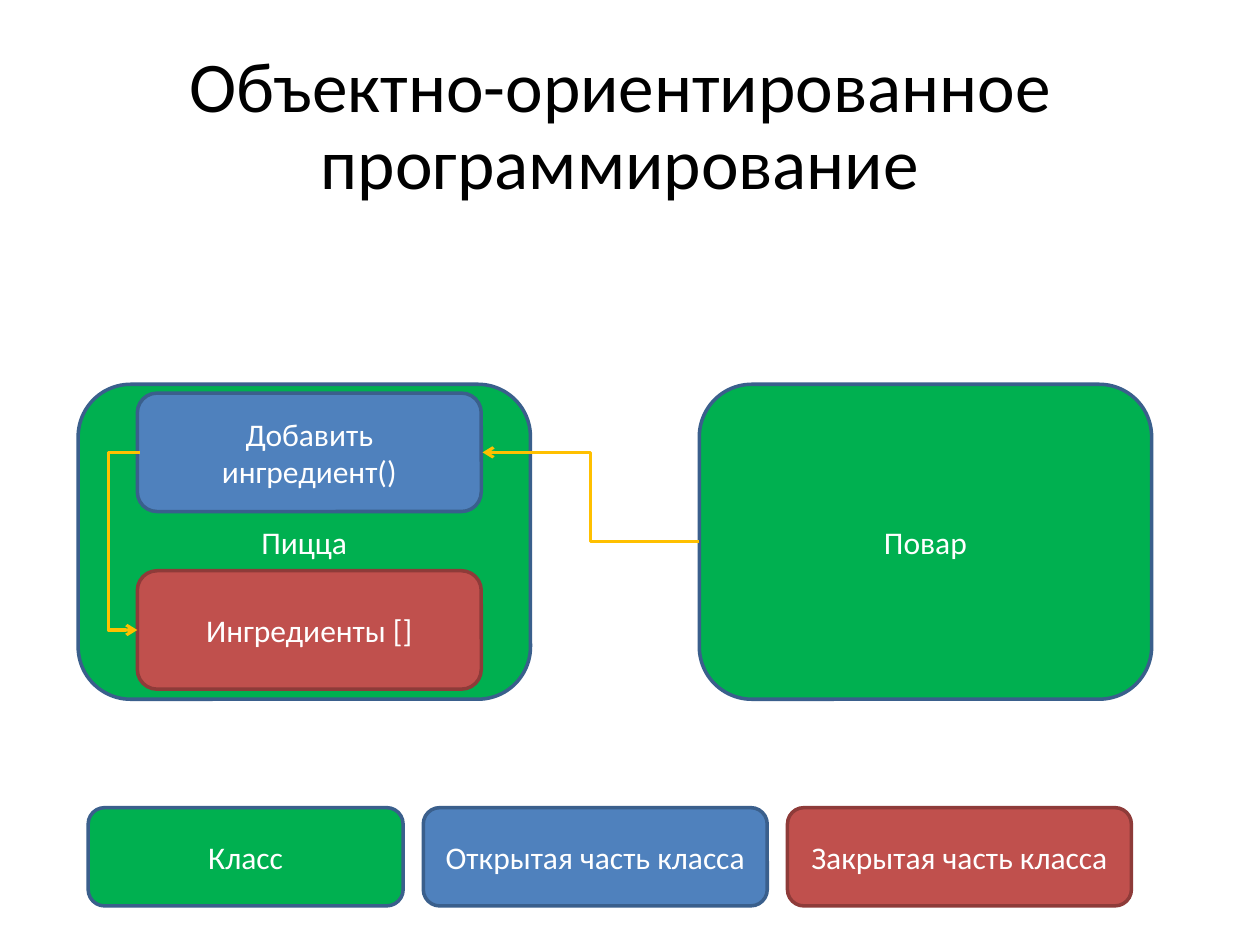
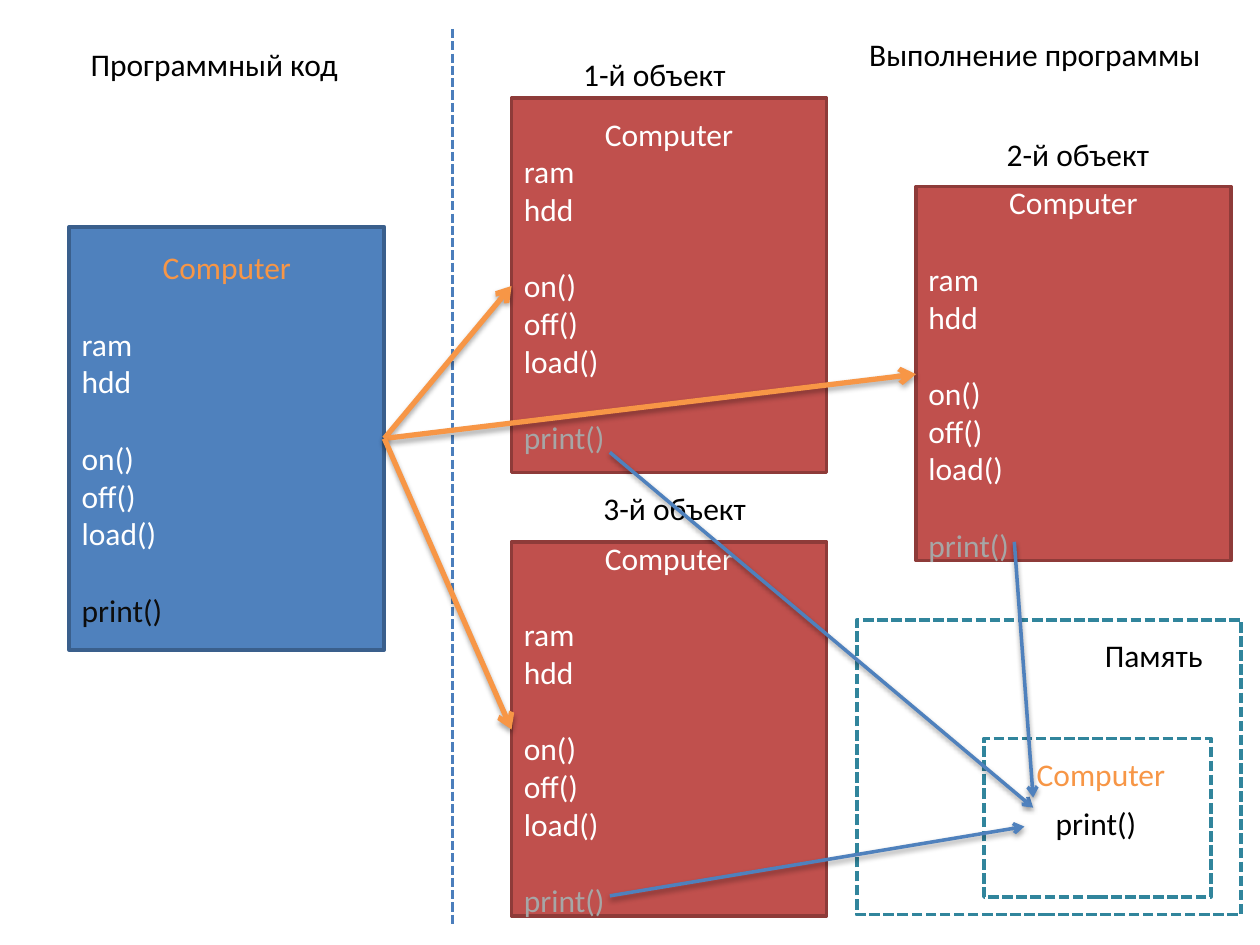
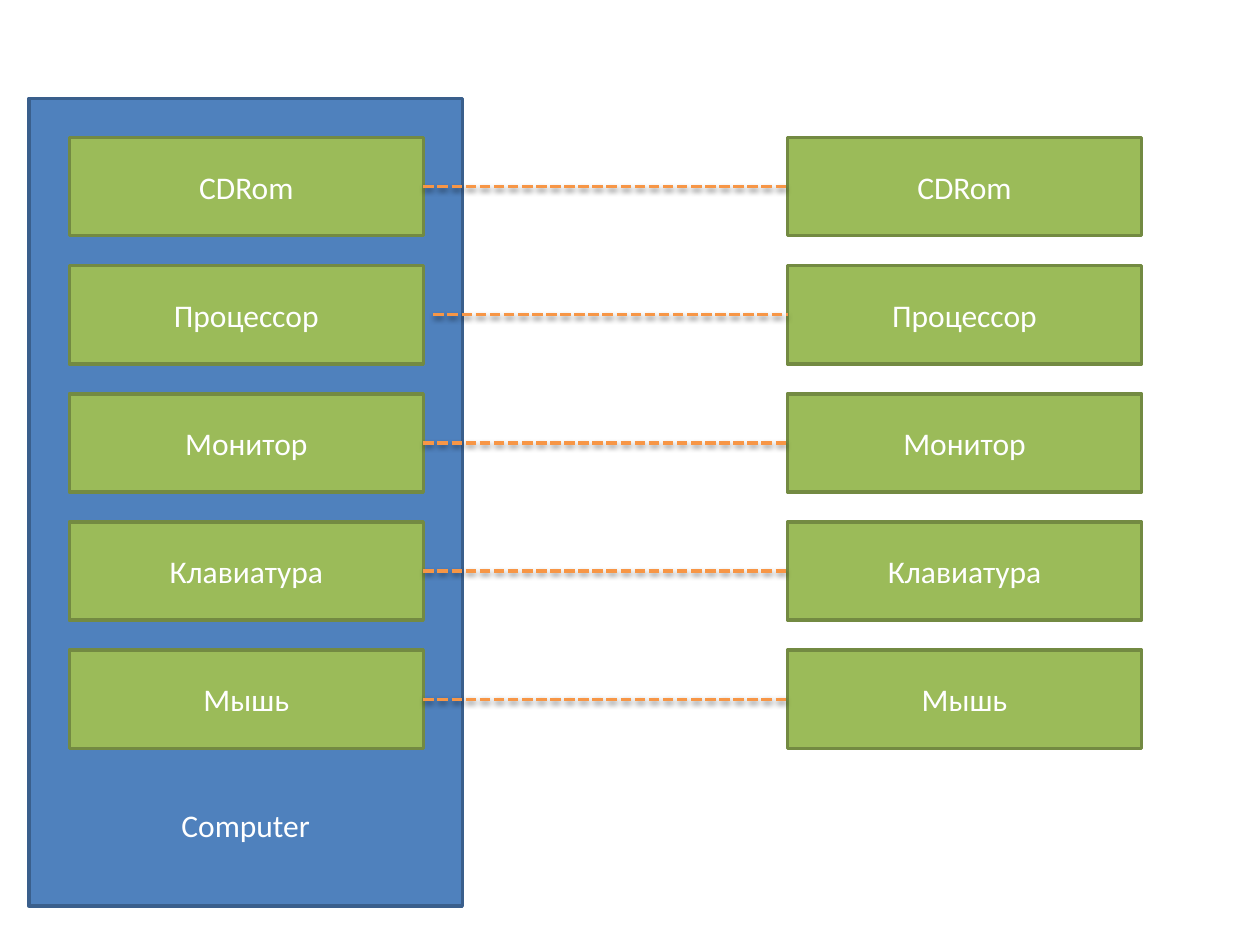
from lxml.etree import SubElement
from pptx import Presentation
from pptx.dml.color import RGBColor
from pptx.enum.dml import MSO_LINE
from pptx.enum.shapes import MSO_CONNECTOR as LINK, MSO_SHAPE as SHAPE
from pptx.enum.text import MSO_ANCHOR as ANCHOR, MSO_AUTO_SIZE as AUTO, PP_ALIGN as ALIGN
from pptx.oxml.ns import qn
from pptx.util import Inches, Pt

# Shared look
FONT = "Calibri"
TEXT_SIZE = 18
BLANK_LINE = Pt(22)
BLACK = RGBColor(0x00, 0x00, 0x00)
NEAR_BLACK = RGBColor(0x0D, 0x0D, 0x0D)
WHITE = RGBColor(0xFF, 0xFF, 0xFF)
GRAY = RGBColor(0xA6, 0xA6, 0xA6)
BLUE = RGBColor(0x4F, 0x81, 0xBD)
DARK_BLUE = RGBColor(0x3A, 0x5F, 0x8C)
DIVIDER_BLUE = RGBColor(0x4B, 0x7E, 0xBC)
RED = RGBColor(0xC0, 0x50, 0x4D)
DARK_RED = RGBColor(0x8E, 0x3B, 0x39)
GREEN = RGBColor(0x00, 0xB0, 0x50)
OLIVE = RGBColor(0x9B, 0xBB, 0x59)
DARK_OLIVE = RGBColor(0x73, 0x8A, 0x42)
ORANGE = RGBColor(0xF7, 0x96, 0x46)
AMBER = RGBColor(0xFF, 0xC0, 0x00)
TEAL = RGBColor(0x31, 0x85, 0x9C)

# Fill and outline of each kind of box
CLASS = (GREEN, DARK_BLUE)
PUBLIC = (BLUE, DARK_BLUE)
PRIVATE = (RED, DARK_RED)
DEVICE = (OLIVE, DARK_OLIVE)
MEMORY = (WHITE, TEAL)


def style_text(paragraph, color, size=TEXT_SIZE):
    for run in paragraph.runs:
        run.font.name = FONT
        run.font.size = Pt(size)
        run.font.color.rgb = color


def add_box(slide, at, colors, text="", shape=SHAPE.RECTANGLE, dashed=False):
    box = slide.shapes.add_shape(shape, *map(Inches, at))
    box.shadow.inherit = False
    box.fill.solid()
    box.fill.fore_color.rgb, box.line.color.rgb = colors
    box.line.width = Pt(2)
    if dashed:
        box.line.dash_style = MSO_LINE.SQUARE_DOT
    if text:
        frame = box.text_frame
        frame.text = text
        frame.vertical_anchor = ANCHOR.MIDDLE
        frame.paragraphs[0].alignment = ALIGN.CENTER
        style_text(frame.paragraphs[0], WHITE)
    return box


def add_rounded(slide, at, colors, text):
    return add_box(slide, at, colors, text, SHAPE.ROUNDED_RECTANGLE)


def add_computer(slide, at, colors, name_color, print_color, gap_after_name=True):
    """A class box: its name, then fields and methods in spaced groups."""
    frame = add_box(slide, at, colors, "Computer").text_frame
    style_text(frame.paragraphs[0], name_color)
    group_starts = {"on()", "print()"} | ({"ram"} if gap_after_name else set())
    for member in ("ram", "hdd", "on()", "off()", "load()", "print()"):
        paragraph = frame.add_paragraph()
        paragraph.text = member
        paragraph.alignment = ALIGN.LEFT
        if member in group_starts:
            paragraph.space_before = BLANK_LINE
        style_text(paragraph, print_color if member == "print()" else WHITE)


def add_label(slide, left, top, width, text, color=BLACK):
    label = slide.shapes.add_textbox(*map(Inches, (left, top, width, 0.4)))
    frame = label.text_frame
    frame.text = text
    frame.word_wrap = False
    frame.auto_size = AUTO.SHAPE_TO_FIT_TEXT
    style_text(frame.paragraphs[0], color)


def add_link(slide, start, end, color, width, kind=LINK.STRAIGHT,
             dashed=False, arrow=False, shadow=None):
    """A line; shadow is (offset in points, opacity in percent)."""
    link = slide.shapes.add_connector(kind, *map(Inches, start + end))
    link.line.color.rgb = color
    link.line.width = Pt(width)
    if dashed:
        link.line.dash_style = MSO_LINE.SQUARE_DOT
    properties = link._element.spPr
    if arrow:
        SubElement(properties.find(qn("a:ln")), qn("a:tailEnd"), type="arrow")
    effects = SubElement(properties, qn("a:effectLst"))
    if shadow:
        offset, opacity = shadow
        outer = SubElement(effects, qn("a:outerShdw"), blurRad=str(Pt(3.1)),
                           dist=str(Pt(offset)), dir="5400000", rotWithShape="0")
        shade = SubElement(outer, qn("a:srgbClr"), val=str(BLACK))
        SubElement(shade, qn("a:alpha"), val=str(opacity * 1000))
    return link


def set_bend(link, ratio):
    """Place the middle leg of an elbow at a multiple of its width."""
    adjustments = link._element.spPr.find(qn("a:prstGeom")).find(qn("a:avLst"))
    SubElement(adjustments, qn("a:gd"), name="adj1", fmla=f"val {int(ratio * 100000)}")


def add_title(slide, text):
    title = slide.shapes.title
    title.left, title.top, title.width, title.height = map(Inches, (0.31, 0.31, 9.22, 1.41))
    frame = title.text_frame
    frame.text = text
    frame.auto_size = AUTO.NONE
    frame.vertical_anchor = ANCHOR.MIDDLE
    paragraph = frame.paragraphs[0]
    paragraph.alignment = ALIGN.CENTER
    paragraph.line_spacing = 0.9
    style_text(paragraph, BLACK, 40.7)


def build_classes(slide):
    add_title(slide, "Объектно-ориентированное программирование")

    # Two classes and the parts of the first
    add_rounded(slide, (5.55, 3.05, 3.59, 2.5), CLASS, "Повар")
    add_rounded(slide, (0.62, 3.05, 3.59, 2.5), CLASS, "Пицца")
    add_rounded(slide, (1.09, 3.12, 2.73, 0.94), PUBLIC, "Добавить ингредиент()")
    add_rounded(slide, (1.09, 4.53, 2.73, 0.94), PRIVATE, "Ингредиенты []")

    # Calls
    add_link(slide, (5.55, 4.3), (3.83, 3.59), AMBER, 1.75, LINK.ELBOW, arrow=True)
    inner_call = add_link(slide, (1.11, 3.59), (1.09, 5), AMBER, 1.75, LINK.ELBOW, arrow=True)
    set_bend(inner_call, 12.5)

    # Legend
    for left, width, colors, meaning in (
        (0.7, 2.5, CLASS, "Класс"),
        (3.36, 2.73, PUBLIC, "Открытая часть класса"),
        (6.25, 2.73, PRIVATE, "Закрытая часть класса"),
    ):
        add_rounded(slide, (left, 6.41, width, 0.78), colors, meaning)


def build_objects(slide):
    # Program code on the left, running program on the right
    add_computer(slide, (0.55, 1.8, 2.5, 3.36), PUBLIC, ORANGE, NEAR_BLACK)
    add_link(slide, (3.59, 0.23), (3.59, 7.34), DIVIDER_BLUE, 1.75, dashed=True)
    add_label(slide, 0.62, 0.31, 2.19, "Программный код")
    add_label(slide, 6.8, 0.23, 2.86, "Выполнение программы")

    # Objects
    corners = ((4.06, 0.78), (7.27, 1.48), (4.06, 4.3))
    for number, corner in enumerate(corners, 1):
        add_computer(slide, corner + (2.5, 2.97), PRIVATE, WHITE, GRAY,
                     gap_after_name=number > 1)
    for number, (left, top) in enumerate(((4.53, 0.39), (7.89, 1.02), (4.69, 3.83)), 1):
        add_label(slide, left, top, 1.35, f"{number}-й объект")
    for left, top in corners:
        add_link(slide, (3.05, 3.48), (left, top + 1.49), ORANGE, 3,
                 arrow=True, shadow=(1.8, 35))

    # Memory with the shared method
    add_box(slide, (6.8, 4.92, 3.05, 2.34), MEMORY, dashed=True)
    add_label(slide, 8.67, 5, 0.99, "Память")
    add_box(slide, (7.81, 5.86, 1.8, 1.26), MEMORY, dashed=True)
    add_label(slide, 8.13, 5.94, 1.23, "Computer", ORANGE)
    add_label(slide, 8.28, 6.33, 0.85, "print()")
    for start, end in (
        ((4.84, 3.59), (8.2, 6.41)),
        ((4.84, 7.11), (8.13, 6.56)),
        ((8.05, 4.3), (8.2, 6.33)),
    ):
        add_link(slide, start, end, BLUE, 2, arrow=True, shadow=(1.6, 38))


def build_devices(slide):
    computer = add_box(slide, (0.23, 0.78, 3.44, 6.41), PUBLIC, "Computer")
    computer.text_frame.vertical_anchor = ANCHOR.BOTTOM
    computer.text_frame.margin_bottom = Inches(0.49)

    # Each device inside the computer is tied to its own class
    devices = ("CDRom", "Процессор", "Монитор", "Клавиатура", "Мышь")
    first_top, last_top, height = 1.09, 5.16, 0.78
    step = (last_top - first_top) / (len(devices) - 1)
    for row, device in enumerate(devices):
        top = first_top + row * step
        middle = top + height / 2
        for left in (6.25, 0.55):
            add_box(slide, (left, top, 2.81, height), DEVICE, device)
        link_left = 3.44 if device == "Процессор" else 3.36
        add_link(slide, (link_left, middle), (6.25, middle), ORANGE, 2,
                 dashed=True, shadow=(1.6, 38))


def main():
    deck = Presentation()
    deck.slide_width, deck.slide_height = Inches(10), Inches(7.5)
    title_only, blank = deck.slide_layouts[5], deck.slide_layouts[6]
    build_classes(deck.slides.add_slide(title_only))
    build_objects(deck.slides.add_slide(blank))
    build_devices(deck.slides.add_slide(blank))
    deck.save("out.pptx")


if __name__ == "__main__":
    main()
